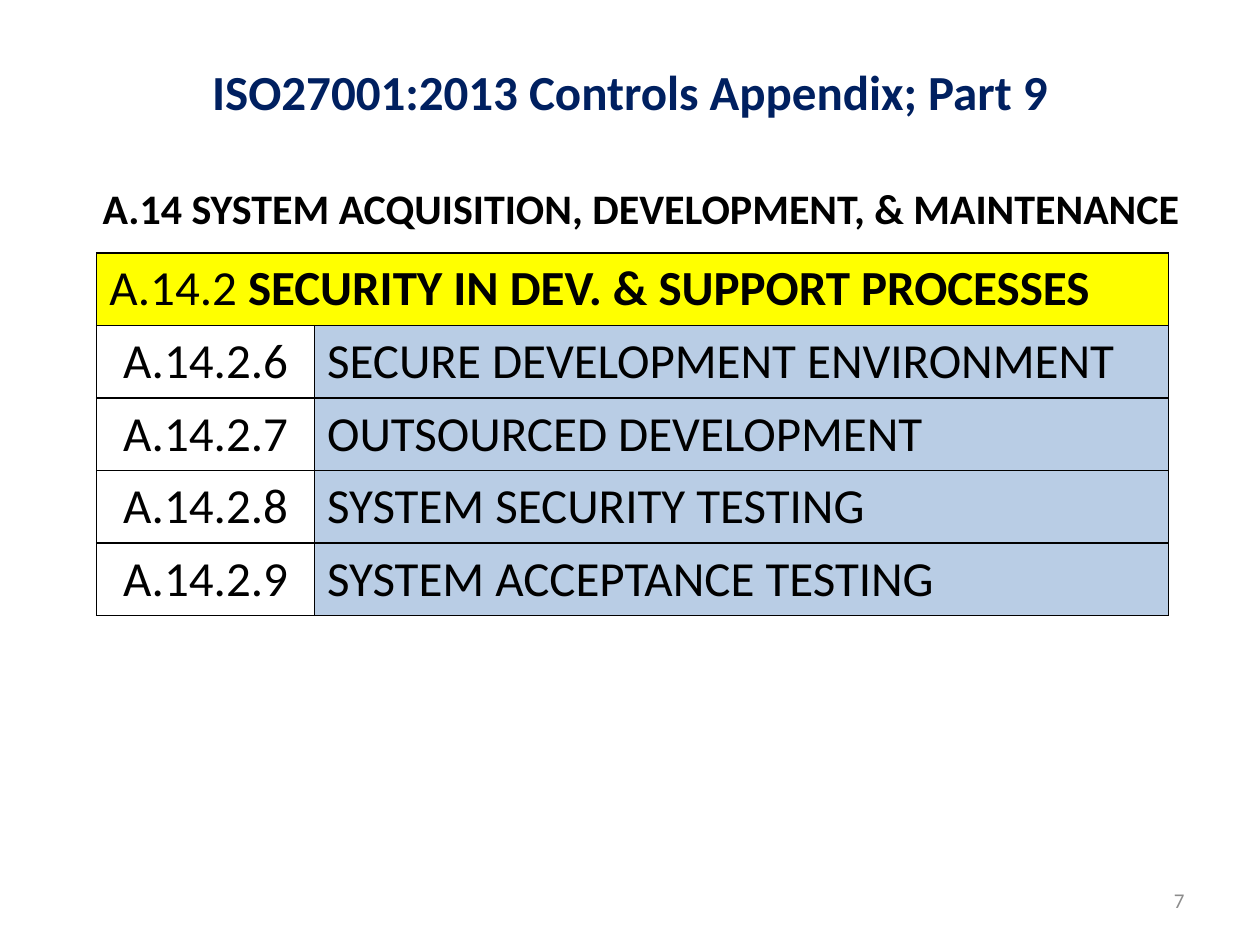
from dataclasses import dataclass
from typing import Optional

from lxml.etree import SubElement
from pptx import Presentation
from pptx.dml.color import RGBColor
from pptx.enum.text import MSO_ANCHOR, MSO_AUTO_SIZE, PP_ALIGN
from pptx.oxml.ns import qn
from pptx.util import Cm, Pt

NAVY = RGBColor(0x00, 0x20, 0x60)
BLACK = RGBColor(0x00, 0x00, 0x00)
GRAY = RGBColor(0x8C, 0x8C, 0x8C)
YELLOW = RGBColor(0xFF, 0xFF, 0x00)
LIGHT_BLUE = RGBColor(0xB9, 0xCD, 0xE5)
FONT = "Calibri"


@dataclass(frozen=True)
class Control:
    number: str
    name: str


@dataclass(frozen=True)
class Label:
    text: str
    left: float
    top: float
    width: float
    height: float
    size: int
    color: RGBColor
    bold: bool
    align: PP_ALIGN
    anchor: MSO_ANCHOR
    wrap: bool


SECTION = Control("A.14.2 ", "SECURITY IN DEV. & SUPPORT PROCESSES")
CONTROLS = [
    Control("A.14.2.6", "SECURE DEVELOPMENT ENVIRONMENT"),
    Control("A.14.2.7", "OUTSOURCED DEVELOPMENT"),
    Control("A.14.2.8", "SYSTEM SECURITY TESTING"),
    Control("A.14.2.9", "SYSTEM ACCEPTANCE TESTING"),
]
LABELS = [
    Label("7", 18.2, 17.65, 5.93, 1.01, 12, GRAY, False,
          PP_ALIGN.RIGHT, MSO_ANCHOR.MIDDLE, True),
    Label("A.14 SYSTEM ACQUISITION, DEVELOPMENT, & MAINTENANCE",
          1.82, 3.56, 22.43, 1.28, 24, BLACK, True,
          PP_ALIGN.LEFT, MSO_ANCHOR.TOP, False),
]


def format_run(r, size: int, color: RGBColor, bold: bool) -> None:
    r.font.name = FONT
    r.font.size = Pt(size)
    r.font.bold = bold
    r.font.color.rgb = color


def add_label(s, label: Label) -> None:
    sp = s.shapes.add_textbox(Cm(label.left), Cm(label.top),
                              Cm(label.width), Cm(label.height))
    tf = sp.text_frame
    tf.text = label.text
    tf.word_wrap = label.wrap
    tf.vertical_anchor = label.anchor
    if not label.wrap:
        tf.auto_size = MSO_AUTO_SIZE.SHAPE_TO_FIT_TEXT
    p = tf.paragraphs[0]
    p.alignment = label.align
    format_run(p.runs[0], label.size, label.color, label.bold)


def set_borders(cell) -> None:
    tc_pr = cell._tc.get_or_add_tcPr()
    for i, side in enumerate(("lnL", "lnR", "lnT", "lnB")):
        ln = SubElement(tc_pr, qn(f"a:{side}"), w=str(Pt(1)))
        fill = SubElement(ln, qn("a:solidFill"))
        SubElement(fill, qn("a:srgbClr"), val=str(BLACK))
        tc_pr.insert(i, ln)


def fill_cell(cell, text: str, fill: Optional[RGBColor], align: PP_ALIGN) -> None:
    cell.text = text
    cell.vertical_anchor = MSO_ANCHOR.MIDDLE
    p = cell.text_frame.paragraphs[0]
    p.alignment = align
    format_run(p.runs[0], 28, BLACK, False)
    if fill is None:
        cell.fill.background()
    else:
        cell.fill.solid()
        cell.fill.fore_color.rgb = fill


def add_controls_table(s) -> None:
    rows = len(CONTROLS) + 1
    row_height = Cm(1.46)
    table = s.shapes.add_table(rows, 2, Cm(1.95), Cm(5.1),
                               Cm(21.61), row_height * rows).table
    table.first_row = False
    table.horz_banding = False
    table.columns[0].width = Cm(4.39)
    table.columns[1].width = Cm(17.22)
    for row in table.rows:
        row.height = row_height
        for cell in row.cells:
            set_borders(cell)

    header = table.cell(0, 0)
    header.merge(table.cell(0, 1))
    fill_cell(header, SECTION.number, YELLOW, PP_ALIGN.LEFT)
    header.vertical_anchor = MSO_ANCHOR.TOP
    r = header.text_frame.paragraphs[0].add_run()
    r.text = SECTION.name
    format_run(r, 28, BLACK, True)

    for i, control in enumerate(CONTROLS, start=1):
        fill_cell(table.cell(i, 0), control.number, None, PP_ALIGN.CENTER)
        fill_cell(table.cell(i, 1), control.name, LIGHT_BLUE, PP_ALIGN.LEFT)


def main() -> None:
    prs = Presentation()
    prs.slide_width, prs.slide_height = Cm(25.4), Cm(19.05)
    s = prs.slides.add_slide(prs.slide_layouts[5])

    title = s.shapes.title
    title.left, title.top = Cm(1.27), Cm(0.58)
    title.width, title.height = Cm(22.86), Cm(2.49)
    title.text_frame.text = "ISO27001:2013 Controls Appendix; Part 9"
    title.text_frame.vertical_anchor = MSO_ANCHOR.MIDDLE
    p = title.text_frame.paragraphs[0]
    p.alignment = PP_ALIGN.CENTER
    format_run(p.runs[0], 28, NAVY, True)

    add_controls_table(s)
    for label in LABELS:
        add_label(s, label)
    prs.save("out.pptx")


if __name__ == "__main__":
    main()
